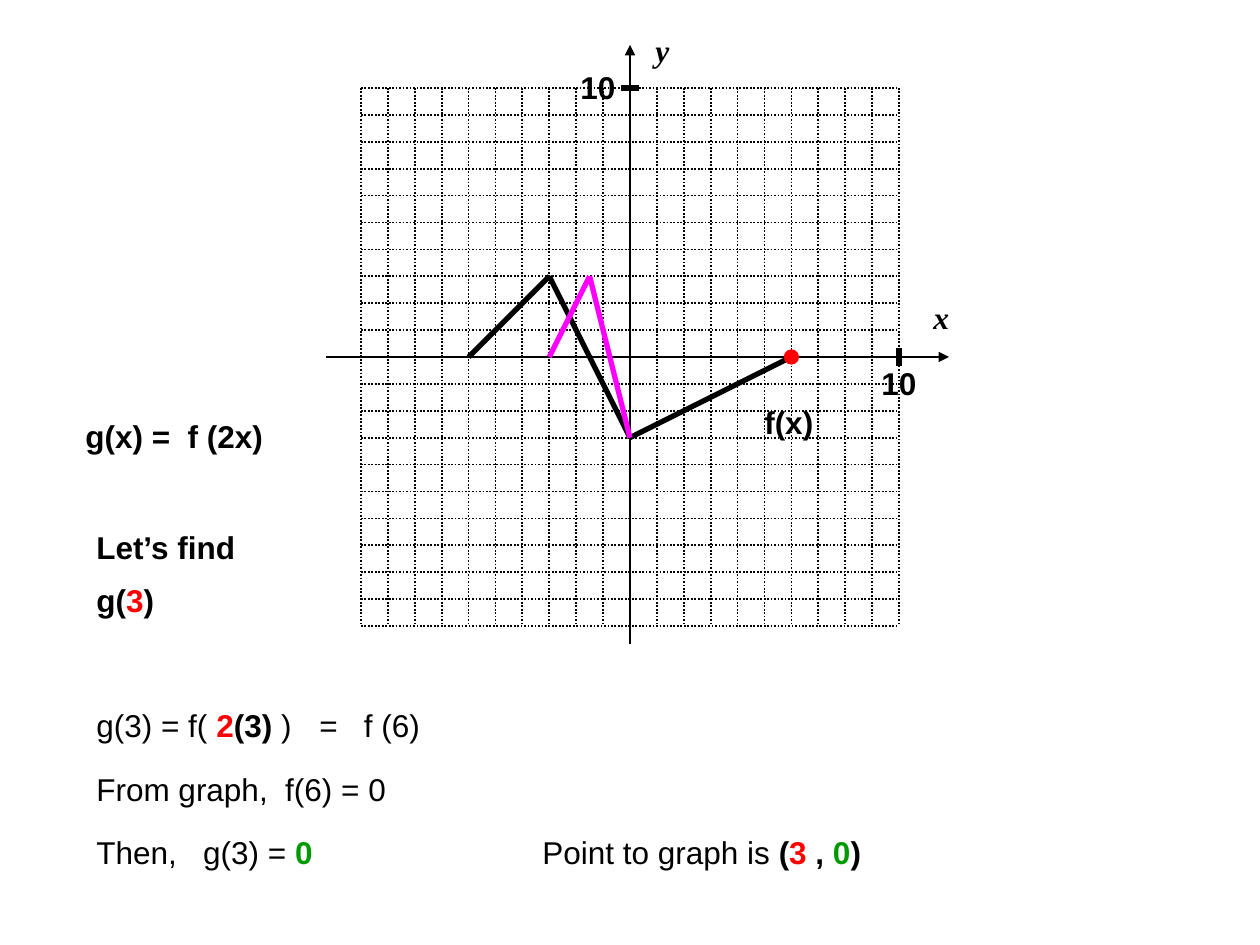
from lxml.etree import SubElement
from pptx import Presentation
from pptx.dml.color import RGBColor
from pptx.enum.dml import MSO_LINE
from pptx.enum.shapes import MSO_CONNECTOR, MSO_SHAPE
from pptx.enum.text import MSO_ANCHOR, MSO_AUTO_SIZE, PP_ALIGN
from pptx.oxml.ns import qn
from pptx.util import Pt

# Content: runs are (text, colour, bold)
INK = {"black": "000000", "red": "FF0000", "green": "009900", "pink": "FF00FF"}
SANS, SERIF = "Arial", "Times New Roman"

# left, top, width, font, runs
NOTES = [
    (643, 25, 39, SERIF, [("y", "black", True)]),
    (921, 292, 40, SERIF, [("x", "black", True)]),
    (869, 358, 61, SANS, [("10", "black", True)]),
    (568, 62, 61, SANS, [("10", "black", True)]),
    (752, 397, 75, SANS, [("f(x)", "black", True)]),
    (73, 411, 204, SANS, [("g(x) =  f (2x)", "black", True)]),
    (84, 522, 166, SANS, [("Let’s find", "black", True)]),
    (84, 575, 84, SANS, [("g(", "black", True), ("3", "red", True), (")", "black", True)]),
    (84, 700, 230, SANS, [("g(3) = f( ", "black", False), ("2", "red", True),
                          ("(3) ", "black", True), (")", "black", False)]),
    (307, 700, 127, SANS, [("=   f (6)", "black", False)]),
    (84, 764, 316, SANS, [("From graph,  f(6) = 0", "black", False)]),
    (84, 827, 244, SANS, [("Then,   g(3) = ", "black", False), ("0", "green", True)]),
    (530, 827, 346, SANS, [("Point to graph is ", "black", False), ("(", "black", True),
                           ("3", "red", True), (" , ", "black", True),
                           ("0", "green", True), (")", "black", True)]),
]

# Graphs in axis units
GRAPHS = [
    ("black", [(-6, 0), (-3, 3), (0, -3), (6, 0)]),
    ("pink", [(-3, 0), (-1.5, 3), (0, -3)]),
]
DOT = (6, 0)

# Layout in px
SCALE = 914400 / 126
WIDE, HIGH = 1260, 945
LEFT, TOP, SPAN, CELLS = 361, 88, 538, 20
MIDX, MIDY = LEFT + SPAN / 2, TOP + SPAN / 2
TEXT_H, DOT_D, TICK = 50, 14, 9


def px(num):
    return round(num * SCALE)


def spot(x, y):
    step = SPAN / CELLS
    return MIDX + x * step, MIDY - y * step


def tint(name):
    return RGBColor.from_string(INK[name])


def draw(start, end, width, ink="black", dash=None, arrow=False):
    line = slide.shapes.add_connector(
        MSO_CONNECTOR.STRAIGHT, *map(px, (*start, *end)))
    line.line.width = Pt(width)
    line.line.color.rgb = tint(ink)
    if dash:
        line.line.dash_style = dash
    props = line._element.spPr
    if arrow:
        SubElement(props.find(qn("a:ln")), qn("a:tailEnd"), type="triangle")
    SubElement(props, qn("a:effectLst"))


def write(left, top, width, font, runs):
    box = slide.shapes.add_textbox(*map(px, (left, top, width, TEXT_H)))
    frame = box.text_frame
    frame.word_wrap = False
    frame.auto_size = MSO_AUTO_SIZE.SHAPE_TO_FIT_TEXT
    frame.vertical_anchor = MSO_ANCHOR.TOP
    para = frame.paragraphs[0]
    para.alignment = PP_ALIGN.LEFT
    for text, ink, bold in runs:
        run = para.add_run()
        run.text = text
        run.font.name = font
        run.font.size = Pt(18)
        run.font.bold = bold
        run.font.italic = font == SERIF
        run.font.color.rgb = tint(ink)


deck = Presentation()
deck.slide_width, deck.slide_height = px(WIDE), px(HIGH)
slide = deck.slides.add_slide(deck.slide_layouts[6])

# Dotted grid
half = CELLS // 2
for n in range(-half, half + 1):
    draw(spot(n, half), spot(n, -half), 1, dash=MSO_LINE.ROUND_DOT)
    draw(spot(-half, n), spot(half, n), 1, dash=MSO_LINE.ROUND_DOT)

# Axes and the marks at 10
draw((MIDX, 644), (MIDX, 45), 0.75, arrow=True)
draw((326, MIDY), (949, MIDY), 0.75, arrow=True)
endx, endy = LEFT + SPAN, TOP
draw((endx, MIDY - TICK), (endx, MIDY + TICK), 3)
draw((MIDX - TICK, endy), (MIDX + TICK, endy), 3)

# Graphs of f and g
for ink, points in GRAPHS:
    for start, end in zip(points, points[1:]):
        draw(spot(*start), spot(*end), 3, ink)

# Point on f
x, y = spot(*DOT)
dot = slide.shapes.add_shape(
    MSO_SHAPE.OVAL, px(x - DOT_D / 2), px(y - DOT_D / 2), px(DOT_D), px(DOT_D))
dot.shadow.inherit = False
dot.fill.solid()
dot.fill.fore_color.rgb = tint("red")
dot.line.color.rgb = tint("red")
dot.line.width = Pt(0.75)

# Labels and working
for note in NOTES:
    write(*note)

deck.save("out.pptx")
